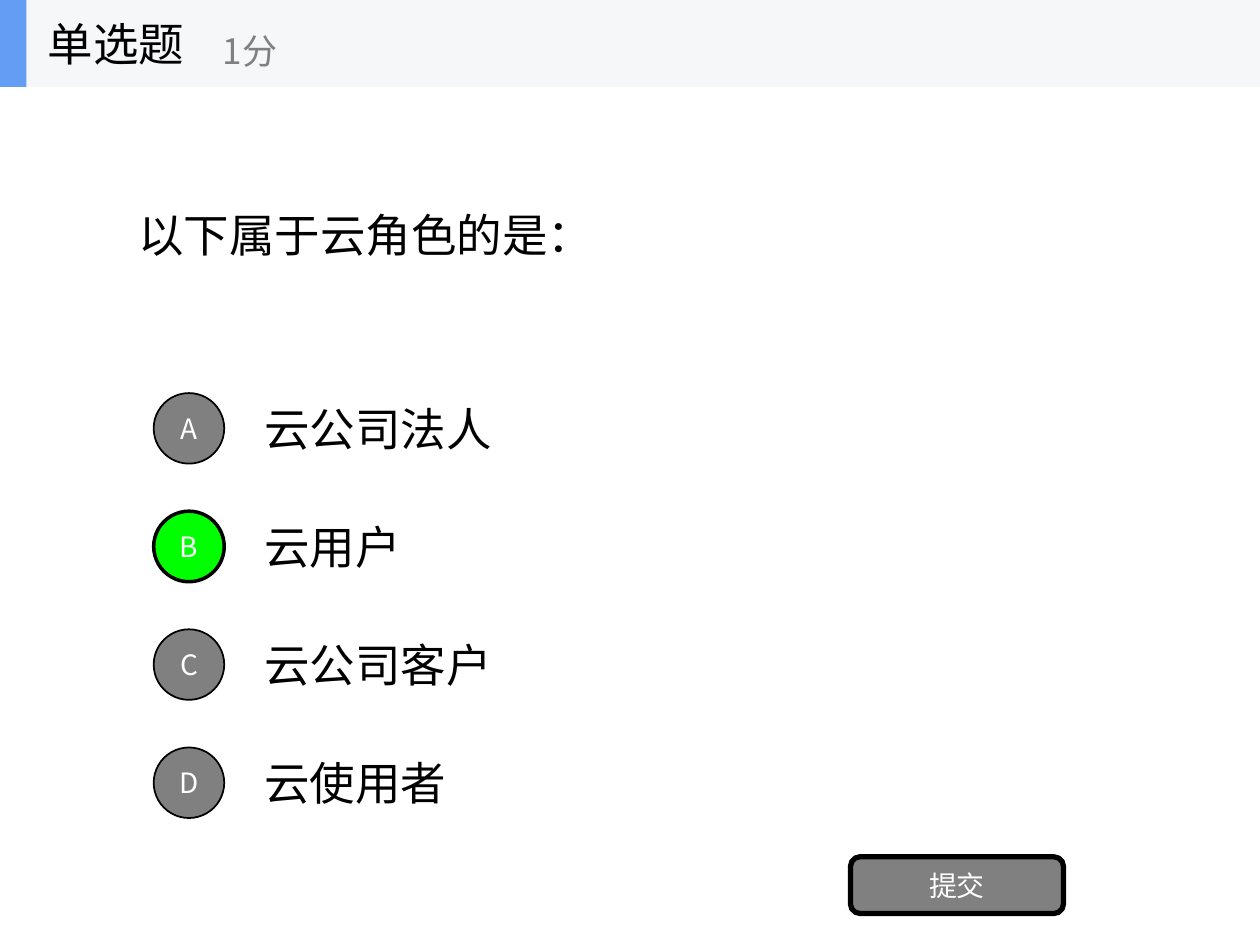
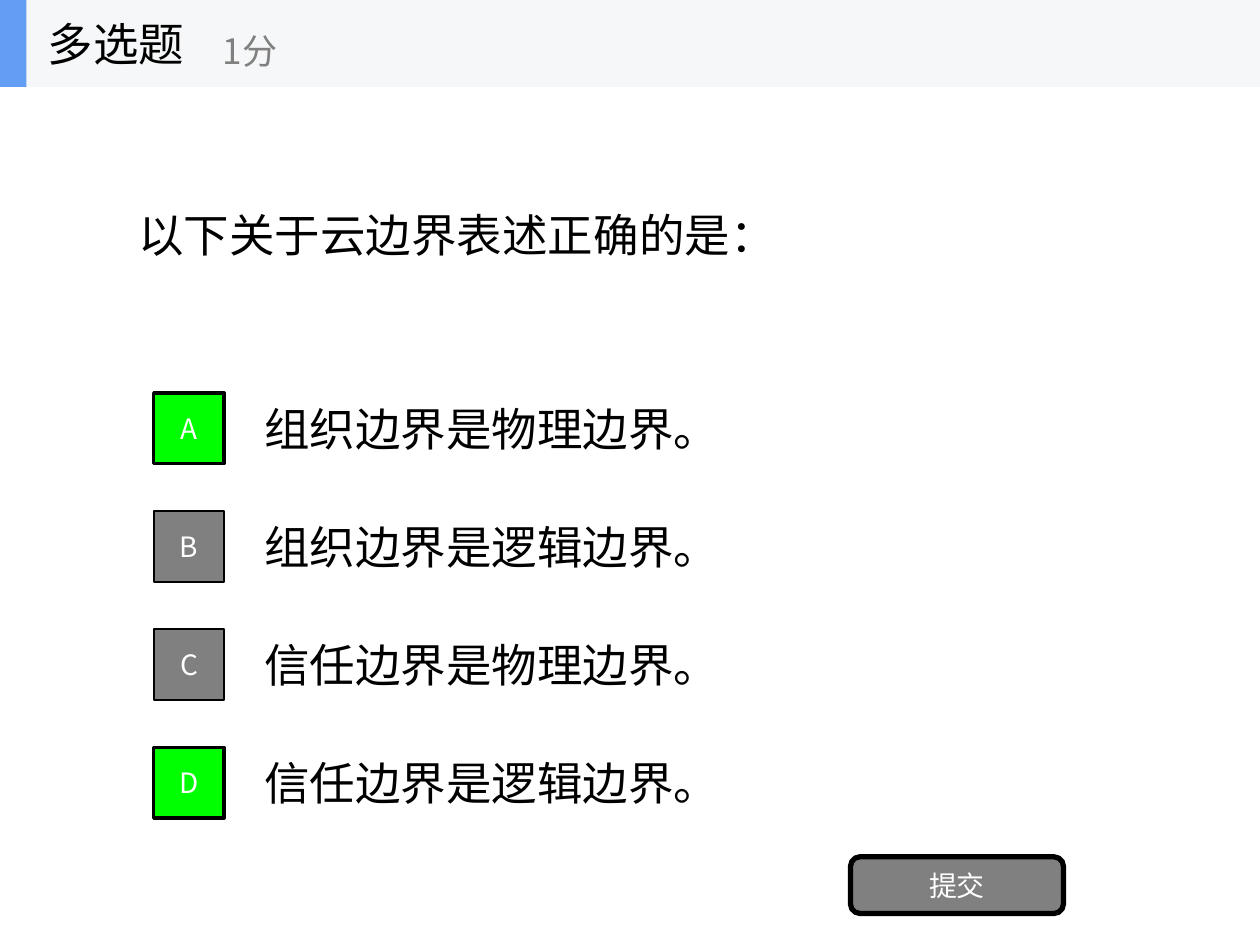
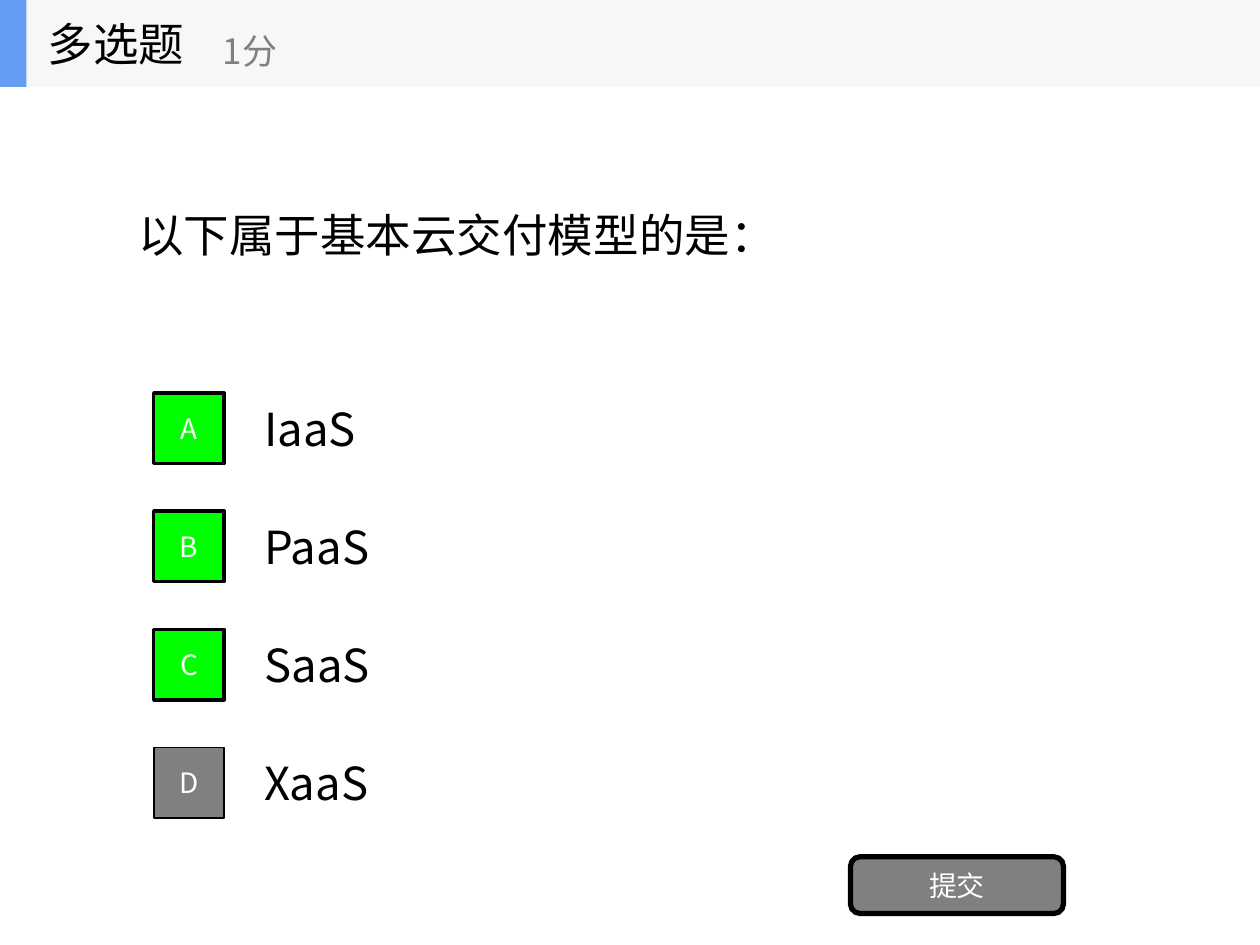
from lxml import etree
from pptx import Presentation
from pptx.dml.color import RGBColor
from pptx.enum.shapes import MSO_SHAPE
from pptx.enum.text import MSO_ANCHOR, PP_ALIGN
from pptx.oxml.ns import qn
from pptx.util import Inches, Pt

RECTANGLE = MSO_SHAPE.RECTANGLE
ROUNDED = MSO_SHAPE.ROUNDED_RECTANGLE
ELLIPSE = MSO_SHAPE.OVAL
MIDDLE = MSO_ANCHOR.MIDDLE
LEFT, CENTER = PP_ALIGN.LEFT, PP_ALIGN.CENTER

FONT = "Noto Sans CJK SC"
BLACK, WHITE, GRAY, GREEN = "000000", "FFFFFF", "808080", "00FF00"
BAND, ACCENT = "F6F7F8", "639EF4"

SLIDE_WIDTH, SLIDE_HEIGHT = 10, 7.5
BAND_HEIGHT = 0.69
OPTION_TOP, OPTION_HEIGHT = 3.05, 0.7
OPTION_PITCH = SLIDE_HEIGHT / 8
MARKER_SIZE = 0.56
MARKER_INSET = (OPTION_HEIGHT - MARKER_SIZE) / 2

# Question type, marker shape, question, options, correct letters
QUESTIONS = [
    ("单选题", ELLIPSE, "以下属于云角色的是：",
     ["云公司法人", "云用户", "云公司客户", "云使用者"], "B"),
    ("多选题", RECTANGLE, "以下关于云边界表述正确的是：",
     ["组织边界是物理边界。", "组织边界是逻辑边界。",
      "信任边界是物理边界。", "信任边界是逻辑边界。"], "AD"),
    ("多选题", RECTANGLE, "以下属于基本云交付模型的是：",
     ["IaaS", "PaaS", "SaaS", "XaaS"], "ABC"),
]


def write_text(shape, text, size, color, alignment=LEFT):
    frame = shape.text_frame
    frame.word_wrap = True
    frame.vertical_anchor = MIDDLE
    paragraph = frame.paragraphs[0]
    paragraph.alignment = alignment
    run = paragraph.add_run()
    run.text = text
    run.font.size = Pt(size)
    run.font.color.rgb = RGBColor.from_string(color)
    run.font.name = FONT
    east_asian = etree.SubElement(run.font._element, qn("a:ea"))
    east_asian.set("typeface", FONT)


def add_box(shapes, kind, box, fill, line_width=0):
    shape = shapes.add_shape(kind, *map(Inches, box))
    shape.shadow.inherit = False
    shape.fill.solid()
    shape.fill.fore_color.rgb = RGBColor.from_string(fill)
    if line_width:
        shape.line.color.rgb = RGBColor.from_string(BLACK)
        shape.line.width = Pt(line_width)
    else:
        shape.line.fill.background()
    return shape


presentation = Presentation()
presentation.slide_width = Inches(SLIDE_WIDTH)
presentation.slide_height = Inches(SLIDE_HEIGHT)

for question_type, marker_kind, question, options, correct in QUESTIONS:
    slide = presentation.slides.add_slide(presentation.slide_layouts[6])
    shapes = slide.shapes

    # Question
    question_box = shapes.add_textbox(Inches(1), Inches(BAND_HEIGHT), Inches(8), Inches(2.34))
    write_text(question_box, question, 26, BLACK)

    # Options with their lettered markers
    for index, (letter, option) in enumerate(zip("ABCD", options)):
        top = OPTION_TOP + index * OPTION_PITCH
        option_box = shapes.add_textbox(Inches(2), Inches(top), Inches(7), Inches(OPTION_HEIGHT))
        write_text(option_box, option, 26, BLACK)

        fill, line_width = (GREEN, 2) if letter in correct else (GRAY, 1)
        marker = add_box(shapes, marker_kind,
                         (1.22, top + MARKER_INSET, MARKER_SIZE, MARKER_SIZE), fill, line_width)
        write_text(marker, letter, 16, WHITE, CENTER)

    # Submit button
    button = add_box(shapes, ROUNDED, (6.75, 6.8, 1.69, 0.45), GRAY, 3)
    write_text(button, "提交", 16, WHITE, CENTER)

    # Header band with question type and score
    header = shapes.add_group_shape().shapes
    add_box(header, RECTANGLE, (0, 0, SLIDE_WIDTH, BAND_HEIGHT), BAND)
    add_box(header, RECTANGLE, (0, 0, 0.21, BAND_HEIGHT), ACCENT)
    type_box = header.add_textbox(Inches(0.28), Inches(0), Inches(2.08), Inches(BAND_HEIGHT))
    write_text(type_box, question_type, 26, BLACK)
    score_box = header.add_textbox(Inches(1.67), Inches(0.12), Inches(2.5), Inches(0.56))
    write_text(score_box, "1分", 20, GRAY)

presentation.save("out.pptx")
